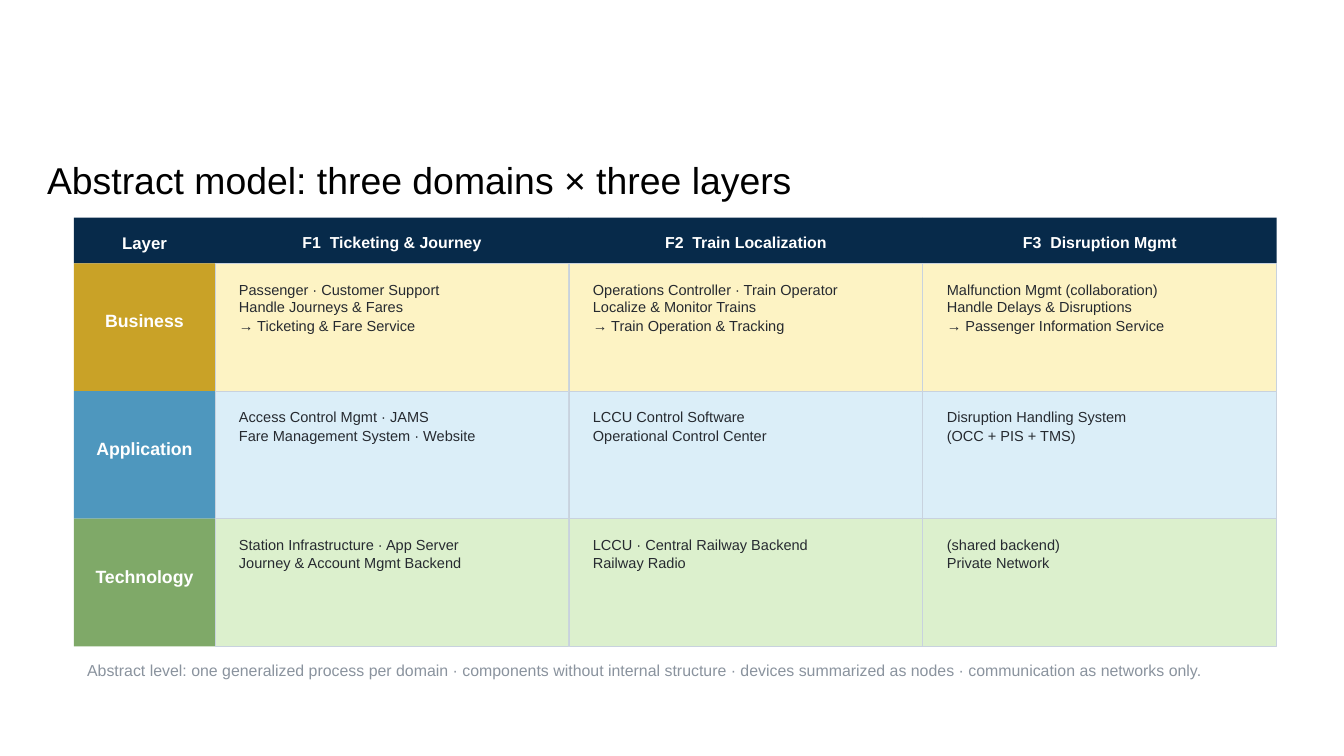
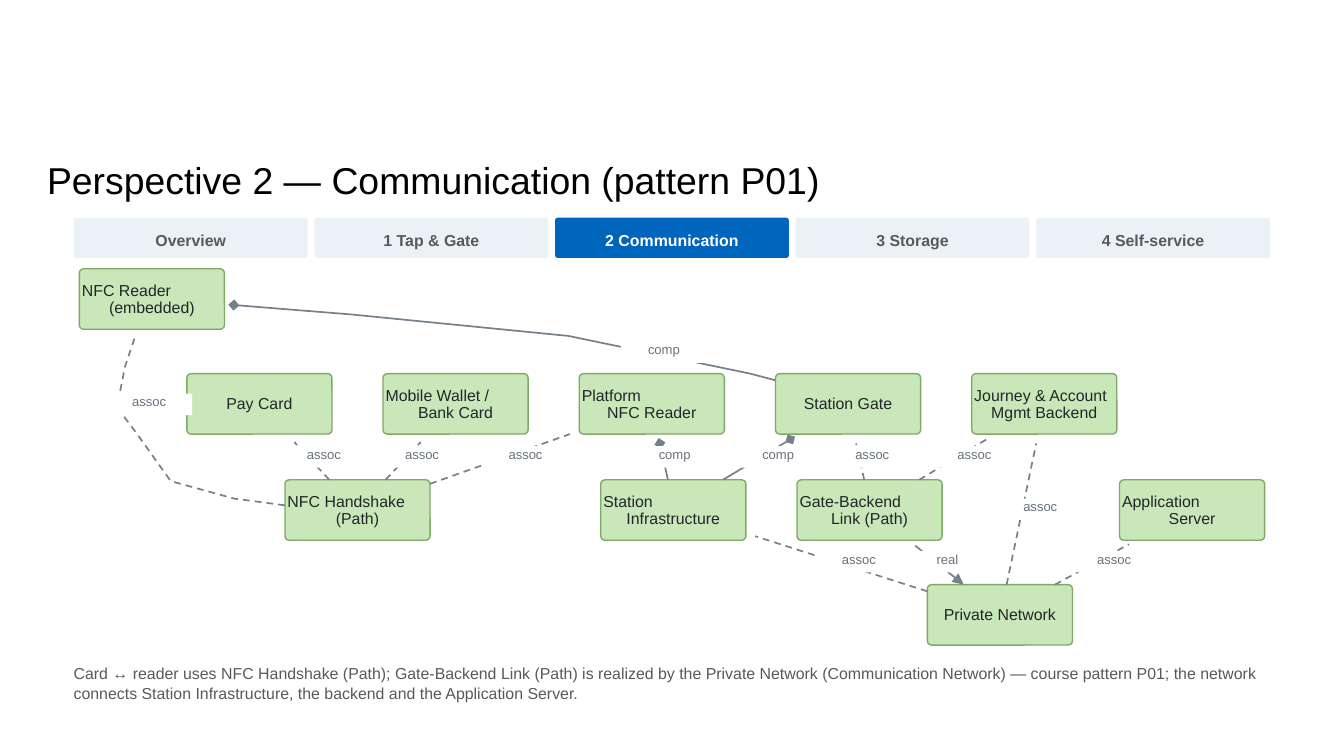
from lxml import etree
from pptx import Presentation
from pptx.dml.color import RGBColor
from pptx.enum.dml import MSO_LINE
from pptx.enum.shapes import MSO_CONNECTOR, MSO_SHAPE
from pptx.enum.text import MSO_ANCHOR, MSO_AUTO_SIZE, PP_ALIGN
from pptx.oxml.ns import qn
from pptx.util import Inches, Pt

RECT, ROUND = MSO_SHAPE.RECTANGLE, MSO_SHAPE.ROUNDED_RECTANGLE
STRAIGHT = MSO_CONNECTOR.STRAIGHT
DASH = MSO_LINE.DASH
LEFT, CENTER = PP_ALIGN.LEFT, PP_ALIGN.CENTER
TOP, MIDDLE = MSO_ANCHOR.TOP, MSO_ANCHOR.MIDDLE
GROW, FIXED = MSO_AUTO_SIZE.SHAPE_TO_FIT_TEXT, MSO_AUTO_SIZE.NONE

BLACK = RGBColor(0x00, 0x00, 0x00)
WHITE = RGBColor(0xFF, 0xFF, 0xFF)
NAVY = RGBColor(0x07, 0x2A, 0x4A)
BLUE = RGBColor(0x00, 0x65, 0xBD)
PALE = RGBColor(0xEC, 0xF1, 0xF6)
RULE = RGBColor(0xC8, 0xD2, 0xDE)
INK = RGBColor(0x26, 0x2A, 0x30)
DARK = RGBColor(0x22, 0x26, 0x2B)
GRAY = RGBColor(0x59, 0x59, 0x59)
MUTED = RGBColor(0x8A, 0x93, 0x9E)
TAG = RGBColor(0x6A, 0x72, 0x7C)
WIRE = RGBColor(0x76, 0x80, 0x8B)
GOLD = RGBColor(0xC9, 0xA2, 0x27)
CREAM = RGBColor(0xFD, 0xF3, 0xC4)
STEEL = RGBColor(0x4E, 0x97, 0xBE)
SKY = RGBColor(0xDB, 0xEE, 0xF8)
GREEN = RGBColor(0x7F, 0xA9, 0x68)
MINT = RGBColor(0xDC, 0xF0, 0xCD)
LEAF = RGBColor(0xC9, 0xE7, 0xB8)

FONT = "Arial"
WIDTH = Inches(10)
HEIGHT = WIDTH * 9 // 16
EDGE = 0.55
HEAD_TOP = 1.62

HEADS = ["F1  Ticketing & Journey", "F2  Train Localization", "F3  Disruption Mgmt"]
LAYERS = [
    ("Business", GOLD, CREAM, [
        "Passenger · Customer Support\nHandle Journeys & Fares\n→ Ticketing & Fare Service",
        "Operations Controller · Train Operator\nLocalize & Monitor Trains\n"
        "→ Train Operation & Tracking",
        "Malfunction Mgmt (collaboration)\nHandle Delays & Disruptions\n"
        "→ Passenger Information Service"]),
    ("Application", STEEL, SKY, [
        "Access Control Mgmt · JAMS\nFare Management System · Website",
        "LCCU Control Software\nOperational Control Center",
        "Disruption Handling System\n(OCC + PIS + TMS)"]),
    ("Technology", GREEN, MINT, [
        "Station Infrastructure · App Server\nJourney & Account Mgmt Backend",
        "LCCU · Central Railway Backend\nRailway Radio",
        "(shared backend)\nPrivate Network"]),
]
TABS = ["Overview", "1 Tap & Gate", "2 Communication", "3 Storage", "4 Self-service"]
ROWS = [
    (0, [("NFC Reader\n(embedded)", 0.04)]),
    (0.78, [("Pay Card", 0.84), ("Mobile Wallet /\nBank Card", 2.3),
            ("Platform\nNFC Reader", 3.76), ("Station Gate", 5.22),
            ("Journey & Account\nMgmt Backend", 6.68)]),
    (1.57, [("NFC Handshake\n(Path)", 1.57), ("Station\nInfrastructure", 3.92),
            ("Gate-Backend\nLink (Path)", 5.38), ("Application\nServer", 7.78)]),
    (2.35, [("Private Network", 6.35)]),
]
LINKS = [
    ("assoc", (1.54, 1.32), [(1.9, 1.57), (1.64, 1.29)]),
    ("assoc", (2.27, 1.32), [(2.32, 1.57), (2.58, 1.29)]),
    ("assoc", (0.24, 0.93), [(1.57, 1.76), (1.19, 1.71), (0.72, 1.58), (0.47, 1.23),
                             (0.32, 1.03), (0.38, 0.73), (0.45, 0.52)]),
    ("assoc", (3.04, 1.32), [(2.65, 1.6), (3.69, 1.23)]),
    ("comp", (4.07, 0.54), [(5.22, 0.83), (5.03, 0.78), (3.68, 0.5), (2.06, 0.34),
                            (1.19, 0.27)]),
    ("assoc", (5.62, 1.32), [(5.88, 1.57), (5.82, 1.3)]),
    ("assoc", (6.38, 1.32), [(6.29, 1.57), (6.79, 1.27)]),
    ("assoc", (6.87, 1.71), [(6.94, 2.35), (7.16, 1.3)]),
    ("real", (6.18, 2.1), [(6.62, 2.35), (6.26, 2.06)]),
    ("assoc", (5.52, 2.1), [(6.35, 2.4), (5.07, 1.99)]),
    ("assoc", (7.42, 2.1), [(7.3, 2.35), (7.85, 2.05)]),
    ("comp", (4.15, 1.32), [(4.42, 1.57), (4.36, 1.3)]),
    ("comp", (4.92, 1.32), [(4.83, 1.57), (5.33, 1.27)]),
]
ENDS = {"comp": ("a:tailEnd", "diamond"), "real": ("a:headEnd", "triangle")}


def add_box(slide, kind, box, fill, line=None, width=0.5):
    """Add a flat filled shape with an optional outline."""
    shape = slide.shapes.add_shape(kind, *map(Inches, box))
    shape.shadow.inherit = False
    shape.fill.solid()
    shape.fill.fore_color.rgb = fill
    if kind == ROUND:
        shape.adjustments[0] = 0.07
    if line is None:
        shape.line.fill.background()
    else:
        shape.line.color.rgb = line
        shape.line.width = Pt(width)
    return shape


def put_text(shape, text, size=8.5, color=INK, bold=False, align=LEFT, space=None,
             after=3, inset=(0.1, 0.05), anchor=TOP, fit=GROW, wrap=True):
    """Write one formatted run into a shape."""
    frame = shape.text_frame
    frame.word_wrap = wrap
    frame.auto_size = fit
    frame.vertical_anchor = anchor
    frame.margin_left = frame.margin_right = Inches(inset[0])
    frame.margin_top = frame.margin_bottom = Inches(inset[1])
    para = frame.paragraphs[0]
    para.alignment = align
    para.space_after = Pt(after)
    if space is not None:
        para.line_spacing = space
    run = para.add_run()
    run.text = text
    run.font.name = FONT
    run.font.size = Pt(size)
    run.font.bold = bold
    run.font.color.rgb = color


def add_text(slide, box, text, **style):
    """Add a text box."""
    put_text(slide.shapes.add_textbox(*map(Inches, box)), text, **style)


def add_title(slide, text):
    """Add the slide title."""
    add_text(slide, (0.35, 1.06, 9.31, 0.45), text, size=20, color=BLACK,
             space=Pt(32), after=0, inset=(0, 0))


def add_grid(slide, left, top, width):
    """Draw the matrix of layers and domains."""
    side, head, high, pad = 1.05, 0.34, 0.95, 0.08
    col = (width - side) / len(HEADS)
    lefts = [left + side + i * col for i in range(len(HEADS))]
    bold = dict(color=WHITE, bold=True, align=CENTER)
    add_box(slide, RECT, (left, top, side, head), NAVY)
    add_text(slide, (left, top + 0.06, side, 0.3), "Layer", size=9, **bold)
    for x, text in zip(lefts, HEADS):
        add_box(slide, RECT, (x, top, col, head), NAVY)
        add_text(slide, (x + 0.04, top + 0.06, col - 0.08, 0.3), text, **bold)
    for row, (name, deep, light, cells) in enumerate(LAYERS):
        y = top + head + row * high
        add_box(slide, RECT, (left, y, side, high), deep)
        add_text(slide, (left, y + 0.3, side, 0.4), name, size=9.5, **bold)
        for x, text in zip(lefts, cells):
            add_box(slide, RECT, (x, y, col, high), light, RULE)
            add_text(slide, (x + pad, y + pad, col - 2 * pad, 0.83), text,
                     size=7.8, space=1.05)


def add_tabs(slide, left, top, active):
    """Draw the row of tabs with one active."""
    wide, gap = 1.74, 0.05
    for i, text in enumerate(TABS):
        x = left + i * (wide + gap)
        chosen = i == active
        add_box(slide, ROUND, (x, top, wide, 0.3), BLUE if chosen else PALE)
        add_text(slide, (x, top + 0.05, wide, 0.24), text, bold=True, align=CENTER,
                 color=WHITE if chosen else GRAY)


def add_link(slide, kind, points):
    """Draw a straight or bent link in the style of its kind."""
    points = [(Inches(x), Inches(y)) for x, y in points]
    if len(points) == 2:
        link = slide.shapes.add_connector(STRAIGHT, *points[0], *points[1])
    else:
        route = slide.shapes.build_freeform(*points[0])
        route.add_line_segments(points[1:], close=False)
        link = route.convert_to_shape()
        link.fill.background()
    link.line.color.rgb = WIRE
    link.line.width = Pt(0.9)
    if kind == "assoc":
        link.line.dash_style = DASH
    else:
        tag, head = ENDS[kind]
        etree.SubElement(link.line._get_or_add_ln(), qn(tag), type=head)
    etree.SubElement(link._element.spPr, qn("a:effectLst"))


def add_graph(slide, left, top):
    """Draw the nodes, then the links with their labels."""
    for y, nodes in ROWS:
        for text, x in nodes:
            node = add_box(slide, ROUND, (left + x, top + y, 1.08, 0.45),
                           LEAF, GREEN, 0.75)
            put_text(node, text, color=DARK, align=CENTER, space=0.92,
                     inset=(0.01, 0), anchor=MIDDLE, fit=FIXED)
    for kind, (x, y), points in LINKS:
        add_link(slide, kind, [(left + px, top + py) for px, py in points])
        label = add_box(slide, RECT, (left + x, top + y, 0.64, 0.16), WHITE)
        put_text(label, kind, size=7, color=TAG, align=CENTER, inset=(0, 0), wrap=False)


def show_model(slide):
    """Build the abstract model slide."""
    add_title(slide, "Abstract model: three domains × three layers")
    add_grid(slide, EDGE, HEAD_TOP, 8.95)
    add_text(slide, (EDGE, 4.87, 8.95, 0.4),
             "Abstract level: one generalized process per domain · components without "
             "internal structure · devices summarized as nodes · communication as "
             "networks only.", color=MUTED)


def show_view(slide):
    """Build the communication slide."""
    add_title(slide, "Perspective 2 — Communication (pattern P01)")
    add_tabs(slide, EDGE, HEAD_TOP, 2)
    add_graph(slide, EDGE, 2)
    add_text(slide, (0.45, 4.88, 9.1, 0.55),
             "Card ↔ reader uses NFC Handshake (Path); Gate-Backend Link (Path) is "
             "realized by the Private Network (Communication Network) — course pattern "
             "P01; the network connects Station Infrastructure, the backend and the "
             "Application Server.", color=GRAY, space=1.05)


def main():
    """Build and save the deck."""
    deck = Presentation()
    deck.slide_width, deck.slide_height = WIDTH, HEIGHT
    for show in (show_model, show_view):
        show(deck.slides.add_slide(deck.slide_layouts[6]))
    deck.save("out.pptx")


if __name__ == "__main__":
    main()
